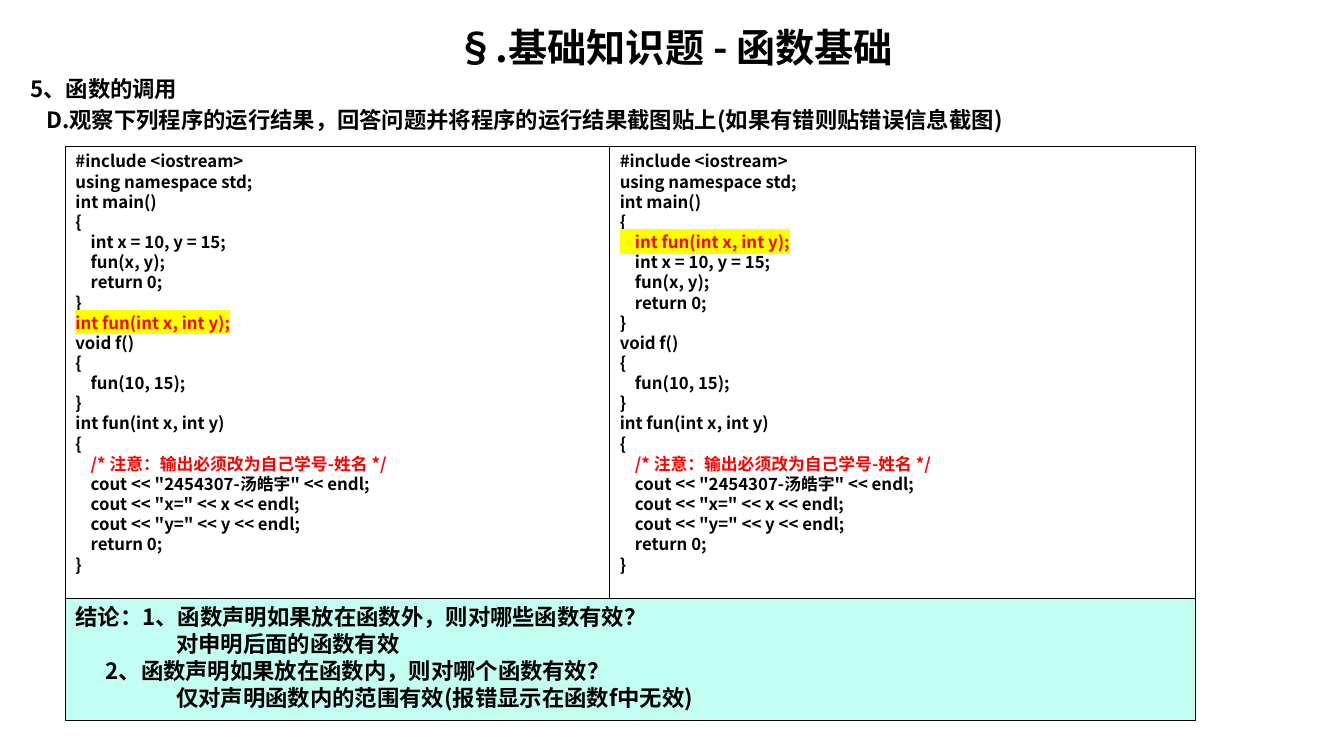
from lxml import etree
from pptx import Presentation
from pptx.dml.color import RGBColor
from pptx.enum.shapes import MSO_SHAPE as Shape
from pptx.enum.text import MSO_ANCHOR as Anchor, MSO_AUTO_SIZE as AutoSize, PP_ALIGN as Align
from pptx.oxml.ns import qn
from pptx.util import Pt

BLACK = RGBColor(0x00, 0x00, 0x00)
RED = RGBColor(0xFF, 0x00, 0x00)
YELLOW = RGBColor(0xFF, 0xFF, 0x00)
MINT = RGBColor(0xC2, 0xFF, 0xF0)

FONT = "Noto Sans CJK SC"
LINE_RATIO = 1.2
FRAME = {
    "word_wrap": True, "auto_size": AutoSize.NONE, "vertical_anchor": Anchor.TOP,
    "margin_left": Pt(7.2), "margin_right": Pt(7.2),
    "margin_top": Pt(3.6), "margin_bottom": Pt(3.6),
}

PROTOTYPE = "int fun(int x, int y);"
INNER_PROTOTYPE = "    " + PROTOTYPE
REMARK = "    /* 注意：输出必须改为自己学号-姓名 */"
HEAD = ["#include <iostream>", "using namespace std;", "int main()", "{"]
MAIN_BODY = ["    int x = 10, y = 15;", "    fun(x, y);", "    return 0;", "}"]
FUNCTIONS = [
    "void f()", "{", "    fun(10, 15);", "}",
    "int fun(int x, int y)", "{", REMARK,
    '    cout << "2454307-汤皓宇" << endl;',
    '    cout << "x=" << x << endl;',
    '    cout << "y=" << y << endl;',
    "    return 0;", "}",
]
OUTER_CODE = HEAD + MAIN_BODY + [PROTOTYPE] + FUNCTIONS
INNER_CODE = HEAD + [INNER_PROTOTYPE] + MAIN_BODY + FUNCTIONS

# Each line is paired with its left indent in points
QUESTION = [
    ("5、函数的调用", 0),
    ("D.观察下列程序的运行结果，回答问题并将程序的运行结果截图贴上(如果有错则贴错误信息截图)", 11.5),
]
CONCLUSION = [
    ("结论：1、函数声明如果放在函数外，则对哪些函数有效？", 0),
    ("对申明后面的函数有效", 72),
    ("2、函数声明如果放在函数内，则对哪个函数有效？", 21.5),
    ("仅对声明函数内的范围有效(报错显示在函数f中无效)", 72),
]


def apply(target, values):
    for name, value in values.items():
        setattr(target, name, value)


def place(shape, box):
    apply(shape, dict(zip(("left", "top", "width", "height"), map(Pt, box))))


def write_lines(frame, lines, size, align=Align.LEFT, gap=0):
    """Fill a text frame with (text, indent) lines, bold, at a fixed line pitch."""
    apply(frame, FRAME)
    for number, (text, indent) in enumerate(lines):
        paragraph = frame.add_paragraph() if number else frame.paragraphs[0]
        props = paragraph._p.get_or_add_pPr()
        props.set("marL", str(Pt(indent)))
        props.set("indent", "0")
        etree.SubElement(props, qn("a:buNone"))
        apply(paragraph, {
            "alignment": align, "line_spacing": Pt(size * LINE_RATIO),
            "space_before": Pt(gap if number else 0), "space_after": Pt(0),
        })
        run = paragraph.add_run()
        run.text = text
        apply(run.font, {"name": FONT, "size": Pt(size), "bold": True})
        run.font.color.rgb = RED if text in (PROTOTYPE, INNER_PROTOTYPE, REMARK) else BLACK
        run_props = run.font._element
        east_asian = etree.Element(qn("a:ea"), typeface=FONT)
        run_props.find(qn("a:latin")).addnext(east_asian)
        if text in (PROTOTYPE, INNER_PROTOTYPE):
            highlight = etree.Element(qn("a:highlight"))
            etree.SubElement(highlight, qn("a:srgbClr"), val=str(YELLOW))
            run_props.find(qn("a:solidFill")).addnext(highlight)


def add_panel(slide, box, lines, size, fill=None):
    """Outlined rectangle with text from its top left corner."""
    panel = slide.shapes.add_shape(Shape.RECTANGLE, *map(Pt, box))
    panel.shadow.inherit = False
    if fill is None:
        panel.fill.background()
    else:
        panel.fill.solid()
        panel.fill.fore_color.rgb = fill
    panel.line.color.rgb = BLACK
    panel.line.width = Pt(0.75)
    write_lines(panel.text_frame, lines, size)


def add_heading(slide, box):
    """Centred title with the question text below it."""
    left, top, width, height = box
    title_height = 36.8
    title, question = slide.placeholders
    place(title, (left, top, width, title_height))
    write_lines(title.text_frame, [("§.基础知识题 - 函数基础", 0)], 28, Align.CENTER)
    place(question, (left, top + title_height, width, height - title_height))
    write_lines(question.text_frame, QUESTION, 16, gap=3.2)


def add_comparison(slide, box):
    """Two programs side by side above the conclusion band."""
    left, top, width, height = box
    split, band_height = 388.8, 87.1
    code_panels = [
        ((left, top, width, height), OUTER_CODE),
        ((left + split, top, width - split, height), INNER_CODE),
    ]
    for panel_box, code in code_panels:
        add_panel(slide, panel_box, [(line, 0) for line in code], 12)
    band = (left, top + height - band_height, width, band_height)
    add_panel(slide, band, CONCLUSION, 16, MINT)


def main():
    deck = Presentation()
    deck.slide_width, deck.slide_height = Pt(960), Pt(540)
    slide = deck.slides.add_slide(deck.slide_layouts[1])
    add_heading(slide, (14.4, 13, 935.3, 88))
    add_comparison(slide, (46.8, 104.4, 807, 410.2))
    deck.save("out.pptx")


if __name__ == "__main__":
    main()
